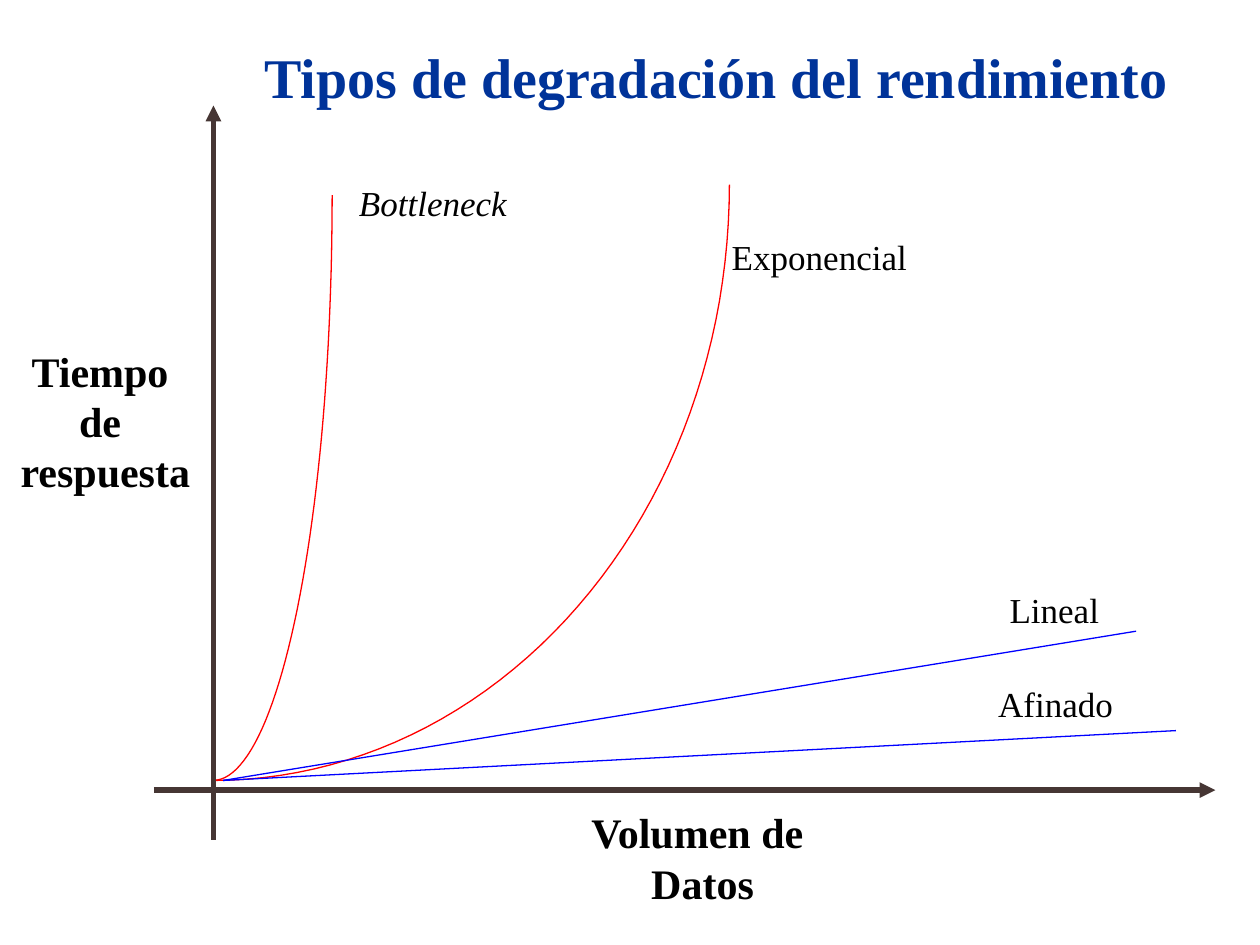
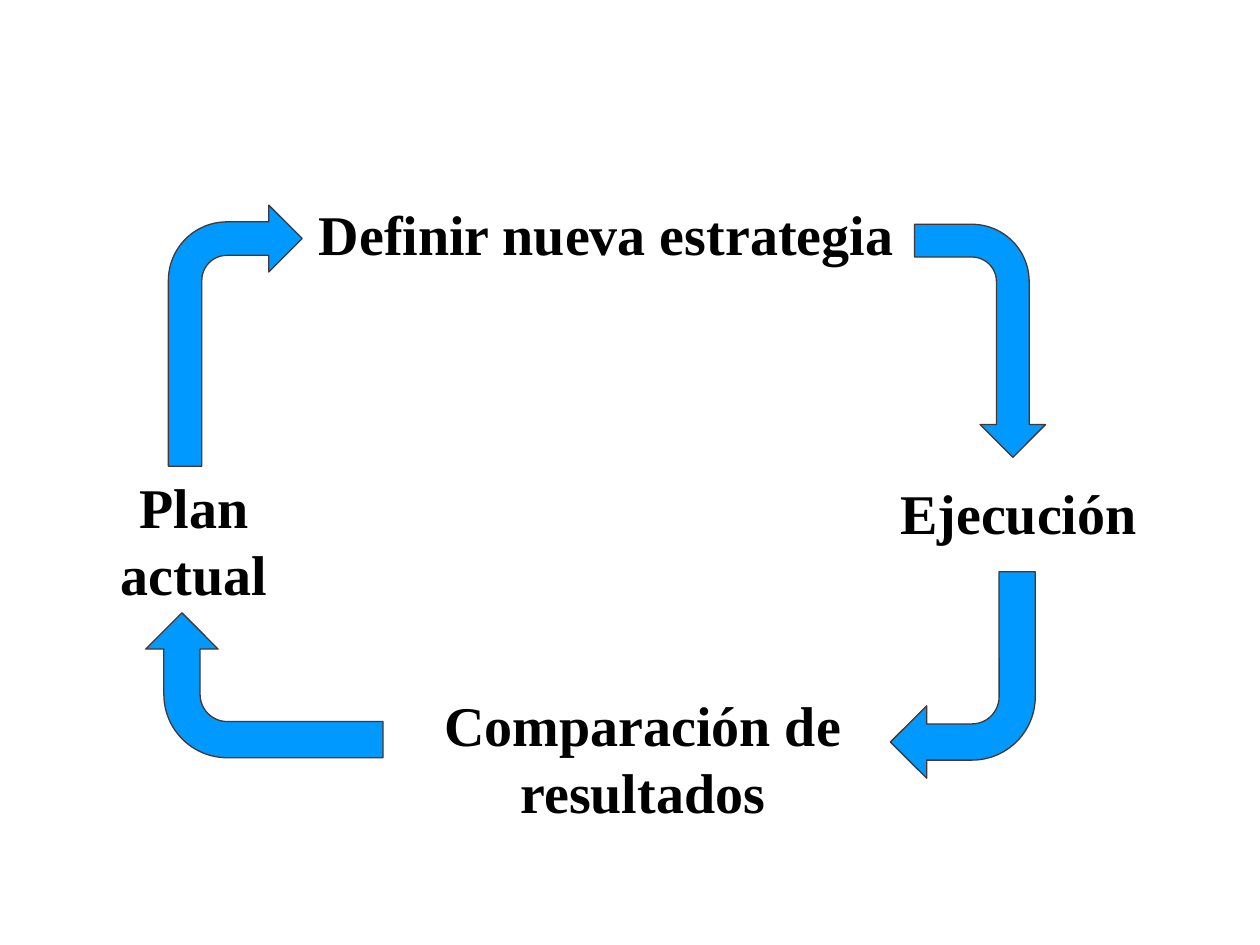
from math import cos, pi, sin

from lxml import etree
from pptx import Presentation
from pptx.dml.color import RGBColor
from pptx.enum.shapes import MSO_CONNECTOR, MSO_SHAPE
from pptx.enum.text import MSO_ANCHOR, MSO_AUTO_SIZE, PP_ALIGN
from pptx.oxml.ns import qn
from pptx.util import Pt

STRAIGHT = MSO_CONNECTOR.STRAIGHT
BENT_ARROW = MSO_SHAPE.BENT_ARROW
TOP = MSO_ANCHOR.TOP
FIT_SHAPE = MSO_AUTO_SIZE.SHAPE_TO_FIT_TEXT
CENTER = PP_ALIGN.CENTER

FONT = "Times New Roman"
COLORS = {
    "title": "003399",
    "text": "000000",
    "outline": "463634",
    "degraded": "FF0000",
    "steady": "0000FF",
    "arrow": "0099FF",
}
TITLE_ONLY, BLANK = 5, 6
CURVE_STEPS = 48


def color(name):
    return RGBColor.from_string(COLORS[name])


def set_line(line, color_name, width=0.75):
    line.color.rgb = color(color_name)
    line.width = Pt(width)


def write_text(shape, lines, size, color_name="text", bold=False, italic=False, wrap=True):
    frame = shape.text_frame
    frame.text = "\n".join(lines)
    frame.word_wrap = wrap
    frame.auto_size = FIT_SHAPE
    frame.vertical_anchor = TOP
    for paragraph in frame.paragraphs:
        paragraph.alignment = CENTER
        font = paragraph.font
        font.name, font.size = FONT, Pt(size)
        font.bold, font.italic = bold, italic
        font.color.rgb = color(color_name)


def add_text(slide, box, lines, size, **style):
    shape = slide.shapes.add_textbox(*map(Pt, box))
    write_text(shape, lines, size, **style)


def set_title(slide, box, text):
    title = slide.shapes.title
    title.left, title.top, title.width, title.height = map(Pt, box)
    write_text(title, [text], 32, color_name="title", bold=True)


def add_line(slide, start, end, color_name, width=0.75, arrow=False):
    connector = slide.shapes.add_connector(STRAIGHT, *map(Pt, (*start, *end)))
    set_line(connector.line, color_name, width)
    if arrow:
        line_xml = connector.line._get_or_add_ln()
        etree.SubElement(line_xml, qn("a:tailEnd"), type="triangle")
    etree.SubElement(connector._element.spPr, qn("a:effectLst"))


def add_growth_curve(slide, origin, width, height):
    left, bottom = origin
    angles = [step * pi / 2 / CURVE_STEPS for step in range(1, CURVE_STEPS + 1)]
    points = [
        (Pt(left + width * sin(angle)), Pt(bottom - height * (1 - cos(angle))))
        for angle in angles
    ]
    builder = slide.shapes.build_freeform(Pt(left), Pt(bottom))
    builder.add_line_segments(points, close=False)
    curve = builder.convert_to_shape()
    curve.shadow.inherit = False
    curve.fill.background()
    set_line(curve.line, "degraded")


def add_bent_arrow(slide, box, rotation):
    arrow = slide.shapes.add_shape(BENT_ARROW, *map(Pt, box))
    arrow.rotation = rotation
    arrow.shadow.inherit = False
    arrow.fill.solid()
    arrow.fill.fore_color.rgb = color("arrow")
    set_line(arrow.line, "outline")


def build_degradation_slide(presentation):
    slide = presentation.slides.add_slide(presentation.slide_layouts[TITLE_ONLY])
    set_title(slide, (127.5, 20.4, 564, 46), "Tipos de degradación del rendimiento")

    for width, height in ((68, 334.5), (295, 340.5)):
        add_growth_curve(slide, (121.8, 446), width, height)
    for end in ((649.2, 360.7), (672, 417.5)):
        add_line(slide, (127.5, 446), end, "steady")
    for start, end in (((122, 480), (122, 60.3)), ((88, 451.5), (694.5, 451.5))):
        add_line(slide, start, end, "outline", 3, arrow=True)

    axis_names = (
        ((327.8, 457.4, 147.4, 65), ["Volumen de ", "Datos"]),
        ((2.3, 193.7, 115.8, 93.6), ["Tiempo ", "de ", "respuesta"]),
    )
    for box, lines in axis_names:
        add_text(slide, box, lines, 24, bold=True, wrap=False)

    curve_names = (
        ((195.4, 100, 104, 31.5), "Bottleneck", True),
        ((409.2, 131, 118, 31.5), "Exponencial", False),
        ((567.5, 332.6, 70, 31.5), "Lineal", False),
        ((561.2, 386.4, 84, 31.5), "Afinado", False),
    )
    for box, name, italic in curve_names:
        add_text(slide, box, [name], 20, italic=italic, wrap=False)


def build_cycle_slide(presentation):
    slide = presentation.slides.add_slide(presentation.slide_layouts[BLANK])
    stages = (
        ((168, 110.2, 357, 46), "Definir nueva estrategia"),
        ((467.6, 270, 229, 46), "Ejecución"),
        ((31.7, 266.4, 158.4, 84.2), "Plan actual"),
        ((194.6, 390.8, 345.6, 84.2), "Comparación de resultados"),
    )
    for box, name in stages:
        add_text(slide, box, [name], 32, bold=True)

    arrow_boxes = (
        (96.2, 117.2, 76.5, 149.2),
        (493.4, 157.3, 133.2, 74.9),
        (508.8, 326.7, 82.8, 118),
        (109.7, 323.8, 82.8, 135.6),
    )
    for quarter, box in enumerate(arrow_boxes):
        add_bent_arrow(slide, box, quarter * 90)


def main():
    presentation = Presentation()
    presentation.slide_width, presentation.slide_height = Pt(720), Pt(540)
    build_degradation_slide(presentation)
    build_cycle_slide(presentation)
    presentation.save("out.pptx")


if __name__ == "__main__":
    main()
